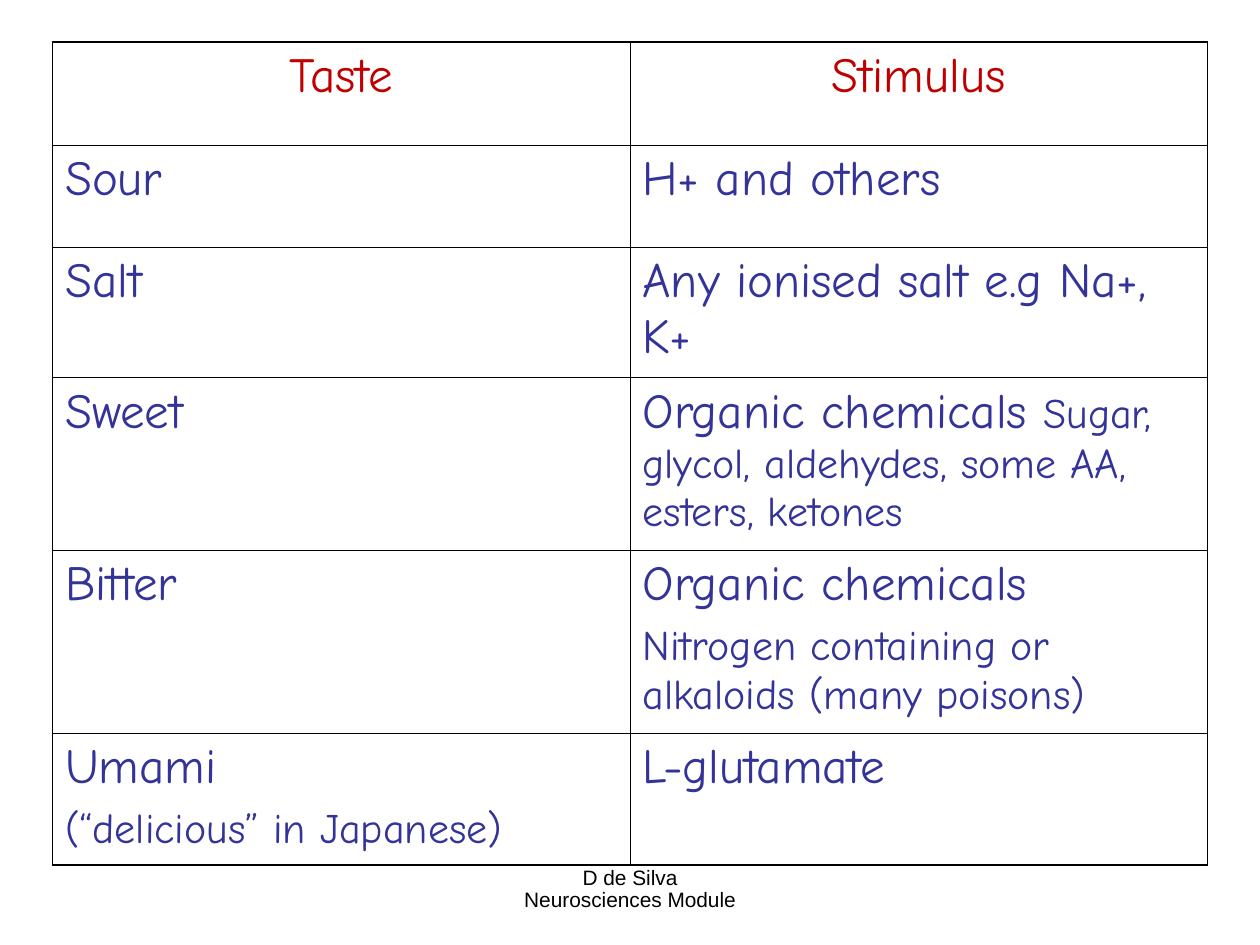
from lxml.etree import SubElement
from pptx import Presentation
from pptx.dml.color import RGBColor
from pptx.enum.text import PP_ALIGN as Align
from pptx.oxml.ns import qn
from pptx.util import Pt

COLORS = {"heading": "C00000", "body": "333399", "black": "000000"}
BIG, SMALL = 28, 24
OUTER, INNER = 1.08, 0.45

# Each cell is a list of paragraphs, each paragraph a list of (text, size) runs
ROWS = [
    (59, [[("Taste", BIG)]], [[("Stimulus", BIG)]]),
    (58.3, [[("Sour", BIG)]], [[("H+ and others", BIG)]]),
    (74.6, [[("Salt", BIG)]], [[("Any ionised salt e.g Na+, K+", BIG)]]),
    (98.4, [[("Sweet", BIG)]],
     [[("Organic chemicals ", BIG),
       ("Sugar, glycol, aldehydes, some AA, esters, ketones", SMALL)]]),
    (104.5, [[("Bitter", BIG)]],
     [[("Organic chemicals", BIG)],
      [("Nitrogen containing or alkaloids (many poisons)", SMALL)]]),
    (75.5, [[("Umami", BIG)], [("(“delicious” in Japanese)", SMALL)]],
     [[("L-glutamate", BIG)]]),
]


def style_font(font, name, size, color):
    font.name = name
    font.size = Pt(size)
    font.color.rgb = RGBColor.from_string(COLORS[color])


def set_borders(cell, widths):
    """Draw black borders; widths maps L, R, T, B (in that order) to points."""
    properties = cell._tc.get_or_add_tcPr()
    for position, (side, width) in enumerate(widths.items()):
        line = SubElement(properties, qn(f"a:ln{side}"), w=str(int(Pt(width))))
        fill = SubElement(line, qn("a:solidFill"))
        SubElement(fill, qn("a:srgbClr"), val=COLORS["black"])
        properties.insert(position, line)


prs = Presentation()
prs.slide_width, prs.slide_height = Pt(720), Pt(540)
slide = prs.slides.add_slide(prs.slide_layouts[6])

# Footer
footer = slide.shapes.add_textbox(Pt(246), Pt(492), Pt(228), Pt(37.4)).text_frame
footer.word_wrap = True
footer.text = "D de Silva\nNeurosciences Module"
for paragraph in footer.paragraphs:
    paragraph.alignment = Align.CENTER
    paragraph.line_spacing = 0.9
    style_font(paragraph.runs[0].font, "Arial", 11.9, "black")

# Table of tastes and their stimuli
total_height = sum(row[0] for row in ROWS)
tastes = slide.shapes.add_table(
    len(ROWS), 2, Pt(30), Pt(24), Pt(660), Pt(total_height)).table
tastes.first_row = tastes.horz_banding = False

last_row = len(ROWS) - 1
for r, (height, *contents) in enumerate(ROWS):
    tastes.rows[r].height = Pt(height)
    for c, paragraphs in enumerate(contents):
        cell = tastes.cell(r, c)
        cell.fill.background()
        set_borders(cell, {
            "L": OUTER if c == 0 else INNER,
            "R": OUTER if c == 1 else INNER,
            "T": OUTER if r == 0 else INNER,
            "B": OUTER if r == last_row else INNER,
        })
        for i, runs in enumerate(paragraphs):
            if i == 0:
                paragraph = cell.text_frame.paragraphs[0]
            else:
                paragraph = cell.text_frame.add_paragraph()
                paragraph.space_before = Pt(6)
            paragraph.alignment = Align.CENTER if r == 0 else Align.LEFT
            for text, size in runs:
                run = paragraph.add_run()
                run.text = text
                style_font(run.font, "Comic Neue", size, "heading" if r == 0 else "body")

prs.save("out.pptx")
